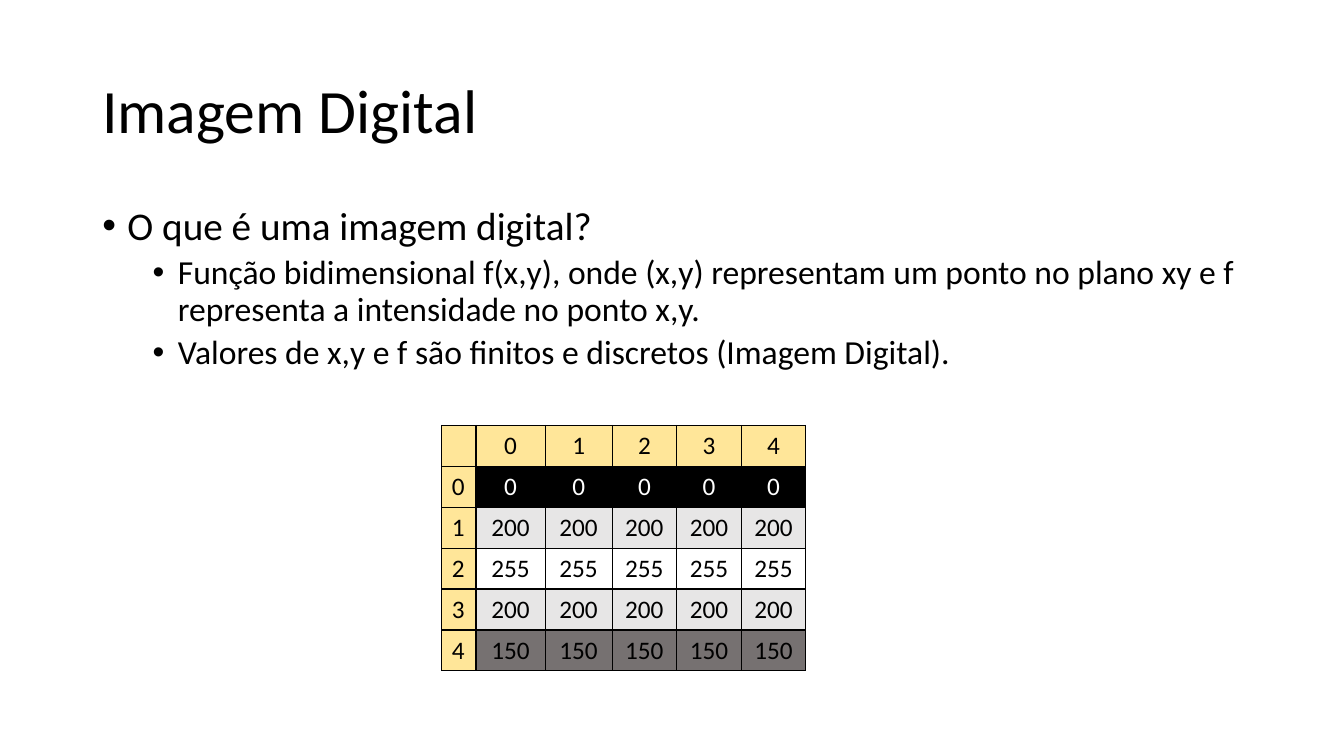
"""Build the "Imagem Digital" slide with its bullets and table of pixel intensities."""
from lxml.etree import SubElement
from pptx import Presentation
from pptx.dml.color import RGBColor
from pptx.enum.text import MSO_ANCHOR, PP_ALIGN
from pptx.oxml import parse_xml
from pptx.oxml.ns import nsdecls, qn
from pptx.util import Pt

BLACK = RGBColor(0x00, 0x00, 0x00)
WHITE = RGBColor(0xFF, 0xFF, 0xFF)
YELLOW = RGBColor(0xFF, 0xE6, 0x99)
LIGHT_GRAY = RGBColor(0xE7, 0xE6, 0xE6)
DARK_GRAY = RGBColor(0x76, 0x71, 0x71)


def write(paragraph, text, size=18, color=BLACK, align=PP_ALIGN.LEFT, spacing=None,
          before=0, level=0, indent=None):
    paragraph.alignment = align
    paragraph.line_spacing = spacing
    paragraph.space_before = Pt(before)
    paragraph.level = level
    run = paragraph.add_run()
    run.text = text
    run.font.name = "Calibri"
    run.font.size = Pt(size)
    run.font.color.rgb = color
    if indent is not None:
        properties = paragraph._p.get_or_add_pPr()
        properties.set("marL", str(Pt(indent)))
        properties.set("indent", str(Pt(-18)))
        SubElement(properties, qn("a:buFont")).set("typeface", "Arial")
        SubElement(properties, qn("a:buChar")).set("char", "•")


def set_borders(cell):
    properties = cell._tc.get_or_add_tcPr()
    for position, side in enumerate(("lnL", "lnR", "lnT", "lnB")):
        properties.insert(position, parse_xml(
            f'<a:{side} {nsdecls("a")} w="{Pt(1)}"><a:solidFill>'
            f'<a:srgbClr val="{BLACK}"/></a:solidFill></a:{side}>'))


presentation = Presentation()
presentation.slide_width = Pt(960)
presentation.slide_height = Pt(540)
slide = presentation.slides.add_slide(presentation.slide_layouts[6])

title = slide.shapes.add_textbox(Pt(66), Pt(28.8), Pt(828), Pt(104.4)).text_frame
title.word_wrap = True
title.vertical_anchor = MSO_ANCHOR.MIDDLE
write(title.paragraphs[0], "Imagem Digital", size=44, spacing=0.9)

definition = slide.shapes.add_textbox(Pt(66), Pt(144), Pt(828), Pt(342.7)).text_frame
definition.word_wrap = True
write(definition.paragraphs[0], "O que é uma imagem digital?", size=28, spacing=0.9,
      before=10, indent=18)
for statement in (
    "Função bidimensional f(x,y), onde (x,y) representam um ponto no plano xy e f "
    "representa a intensidade no ponto x,y.",
    "Valores de x,y e f são finitos e discretos (Imagem Digital).",
):
    write(definition.add_paragraph(), statement, size=24, spacing=0.9, before=5,
          level=1, indent=54)

column_widths = [24.5, 49.4, 47.9, 46.1, 46.1, 46.1]
row_height = 29.2
pixel_rows = [
    ("0", BLACK, WHITE),
    ("200", LIGHT_GRAY, BLACK),
    ("255", None, BLACK),
    ("200", LIGHT_GRAY, BLACK),
    ("150", DARK_GRAY, BLACK),
]
pixels = slide.shapes.add_table(
    len(pixel_rows) + 1, len(column_widths), Pt(315.5), Pt(304),
    Pt(sum(column_widths)), Pt(row_height * (len(pixel_rows) + 1))).table
pixels.first_row = False
pixels.horz_banding = False
for column, width in zip(pixels.columns, column_widths):
    column.width = Pt(width)

for y, row in enumerate(pixels.rows):
    row.height = Pt(row_height)
    for x, cell in enumerate(row.cells):
        if y == 0:
            value, fill, color = str(x - 1), YELLOW, BLACK
        elif x == 0:
            value, fill, color = str(y - 1), YELLOW, pixel_rows[y - 1][2] if y > 1 else BLACK
        else:
            value, fill, color = pixel_rows[y - 1]
        if fill is None:
            cell.fill.background()
        else:
            cell.fill.solid()
            cell.fill.fore_color.rgb = fill
        set_borders(cell)
        if x or y:
            write(cell.text_frame.paragraphs[0], value, color=color,
                  align=PP_ALIGN.CENTER if x else PP_ALIGN.LEFT)

presentation.save("out.pptx")
